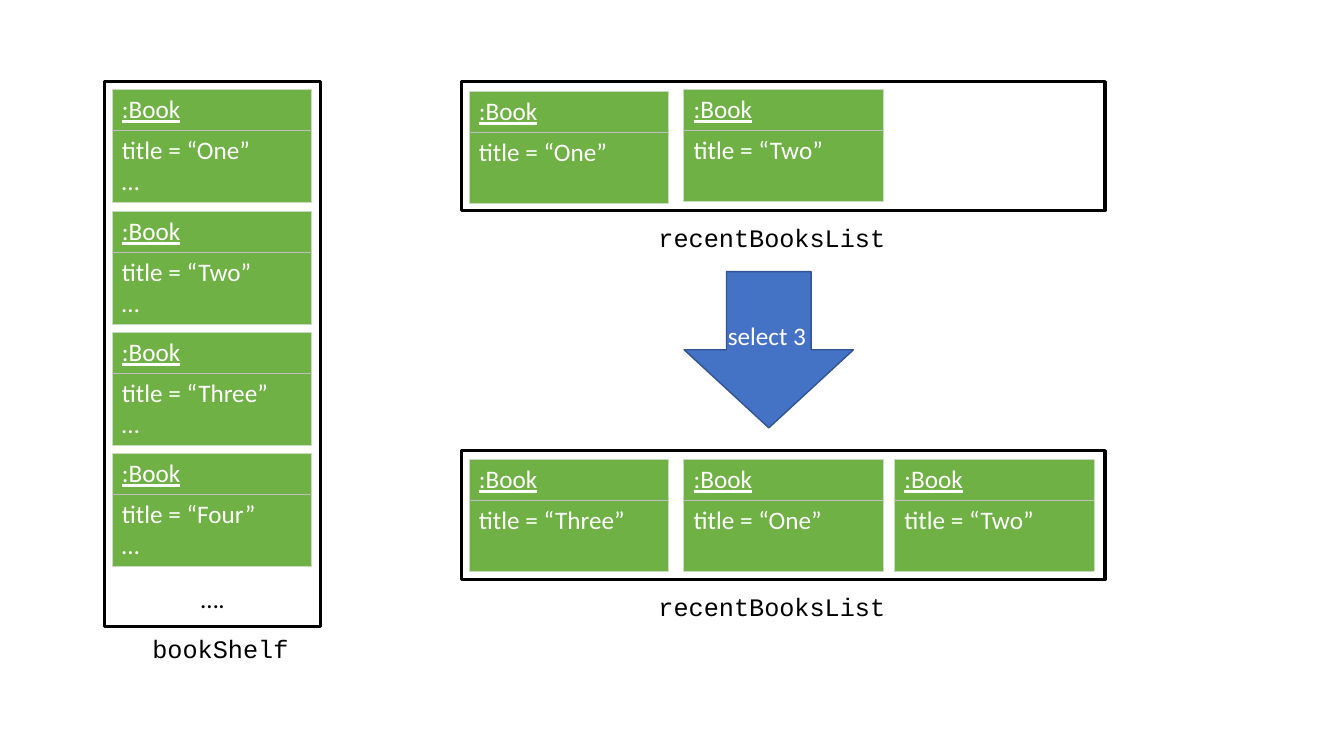
from dataclasses import dataclass

from lxml import etree
from pptx import Presentation
from pptx.dml.color import RGBColor
from pptx.enum.shapes import MSO_SHAPE
from pptx.enum.text import MSO_ANCHOR, MSO_AUTO_SIZE, PP_ALIGN
from pptx.oxml.ns import qn
from pptx.shapes.autoshape import Shape
from pptx.shapes.shapetree import GroupShapes, SlideShapes
from pptx.table import _Cell
from pptx.text.text import TextFrame
from pptx.util import Pt

RECTANGLE, RIGHT_ARROW = MSO_SHAPE.RECTANGLE, MSO_SHAPE.RIGHT_ARROW
LEFT, CENTER = PP_ALIGN.LEFT, PP_ALIGN.CENTER
BOTTOM = MSO_ANCHOR.BOTTOM
GROW = MSO_AUTO_SIZE.SHAPE_TO_FIT_TEXT

BLACK = RGBColor(0x00, 0x00, 0x00)
WHITE = RGBColor(0xFF, 0xFF, 0xFF)
GREEN = RGBColor(0x6F, 0xB1, 0x44)
PALE_GREEN = RGBColor(0xC9, 0xDB, 0xC1)
GREY = RGBColor(0xBF, 0xBF, 0xBF)
BLUE = RGBColor(0x44, 0x72, 0xC4)
DARK_BLUE = RGBColor(0x32, 0x54, 0x91)

SCALE = 9144  # EMU in one px, 100 px to the inch
BOOK_WIDTH, HEADER_HEIGHT, BODY_HEIGHT = 198, 40, 70
SHELF_TOP, SHELF_STEP = 89, 120.5
LIST_COLUMNS = (465, 678, 887)


@dataclass(frozen=True)
class Box:
    left: int
    top: int
    width: int
    height: int

    def emu(self) -> tuple[int, int, int, int]:
        return px(self.left), px(self.top), px(self.width), px(self.height)


@dataclass(frozen=True)
class Book:
    left: int
    top: int
    title: str
    more: bool = False


@dataclass(frozen=True)
class Label:
    text: str
    box: Box


def px(length: float) -> int:
    return round(length * SCALE)


def write(frame: TextFrame, *lines: str, font: str = "Calibri", color: RGBColor = WHITE,
          align: PP_ALIGN = LEFT, underline: bool = False) -> None:
    for index, line in enumerate(lines):
        paragraph = frame.add_paragraph() if index else frame.paragraphs[0]
        paragraph.alignment = align
        run = paragraph.add_run()
        run.text = line
        run.font.name = font
        run.font.size = Pt(18)
        run.font.color.rgb = color
        run.font.underline = underline


def add_shape(shapes: SlideShapes | GroupShapes, kind: MSO_SHAPE, box: Box, *,
              fill: RGBColor, line: RGBColor, weight: float) -> Shape:
    shape = shapes.add_shape(kind, *box.emu())
    shape.shadow.inherit = False
    shape.fill.solid()
    shape.fill.fore_color.rgb = fill
    shape.line.color.rgb = line
    shape.line.width = Pt(weight)
    return shape


def add_frame(shapes: SlideShapes, box: Box) -> Shape:
    return add_shape(shapes, RECTANGLE, box, fill=WHITE, line=BLACK, weight=2.25)


def add_text(shapes: SlideShapes | GroupShapes, label: Label, *, wrap: bool = True,
             font: str = "Courier New", color: RGBColor = BLACK,
             align: PP_ALIGN = CENTER) -> None:
    frame = shapes.add_textbox(*label.box.emu()).text_frame
    frame.word_wrap = wrap
    frame.auto_size = GROW
    write(frame, label.text, font=font, color=color, align=align)


def style_cell(cell: _Cell, divider: str) -> None:
    """Border the cell, with the header divider on the given side, and fill it."""
    properties = cell._tc.get_or_add_tcPr()
    for side in ("L", "R", "T", "B"):
        color, weight = (GREY, 1) if side == divider else (PALE_GREEN, 0.5)
        line = etree.SubElement(properties, qn(f"a:ln{side}"), w=str(Pt(weight)))
        fill = etree.SubElement(line, qn("a:solidFill"))
        etree.SubElement(fill, qn("a:srgbClr"), val=str(color))
    cell.fill.solid()
    cell.fill.fore_color.rgb = GREEN


def add_book(shapes: SlideShapes, book: Book) -> None:
    box = Box(book.left, book.top, BOOK_WIDTH, HEADER_HEIGHT + BODY_HEIGHT)
    table = shapes.add_table(2, 1, *box.emu()).table
    table.first_row = table.horz_banding = False
    table.rows[0].height = px(HEADER_HEIGHT)
    table.rows[1].height = px(BODY_HEIGHT)
    header, body = table.cell(0, 0), table.cell(1, 0)
    style_cell(header, "B")
    style_cell(body, "T")
    write(header.text_frame, ":Book", underline=True)
    lines = [f"title = “{book.title}”"] + (["…"] if book.more else [])
    write(body.text_frame, *lines)


SHELF = Box(104, 81, 214, 541)
LISTS = (Box(458, 81, 638, 128), Box(458, 447, 638, 128))
LABELS = (
    Label("recentBooksList", Box(631, 216, 269, 40)),
    Label("bookShelf", Box(84, 623, 269, 40)),
    Label("recentBooksList", Box(631, 582, 269, 40)),
)
SHELF_BOOKS = [
    Book(111, round(SHELF_TOP + row * SHELF_STEP), title, more=True)
    for row, title in enumerate(("One", "Two", "Three", "Four"))
]
BOOKS_BEFORE = [Book(LIST_COLUMNS[0], 91, "One"), Book(LIST_COLUMNS[1], 89, "Two")]
BOOKS_AFTER = [
    Book(left, 456, title) for left, title in zip(LIST_COLUMNS, ("Three", "One", "Two"))
]


def main() -> None:
    presentation = Presentation()
    presentation.slide_width, presentation.slide_height = px(1333), px(750)
    slide = presentation.slides.add_slide(presentation.slide_layouts[6])
    shapes = slide.shapes

    # Frames of the shelf and of the list before and after
    shelf_text = add_frame(shapes, SHELF).text_frame
    shelf_text.vertical_anchor = BOTTOM
    shelf_text.margin_bottom = px(13)
    write(shelf_text, "….", color=BLACK, align=CENTER)
    for box in LISTS:
        add_frame(shapes, box)

    # Books and captions
    for book in SHELF_BOOKS + BOOKS_BEFORE + BOOKS_AFTER:
        add_book(shapes, book)
    for label in LABELS:
        add_text(shapes, label)

    # Selection arrow
    selection = shapes.add_group_shape().shapes
    arrow = add_shape(selection, RIGHT_ARROW, Box(685, 263, 155, 168),
                      fill=BLUE, line=DARK_BLUE, weight=1)
    arrow.rotation = 90
    add_text(selection, Label("select 3", Box(712, 313, 99, 40)), wrap=False,
             font="Calibri", color=WHITE, align=LEFT)

    presentation.save("out.pptx")


if __name__ == "__main__":
    main()
